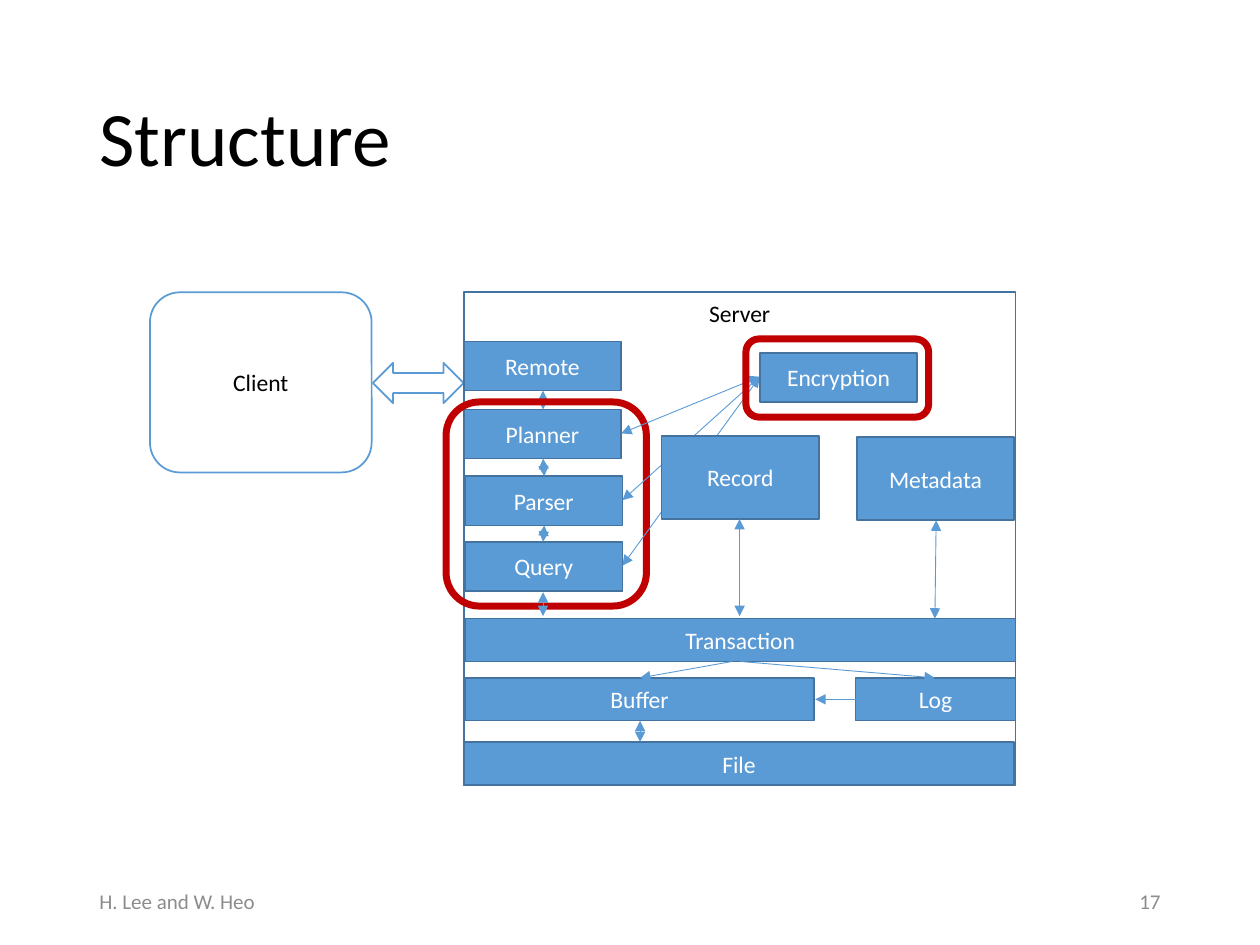
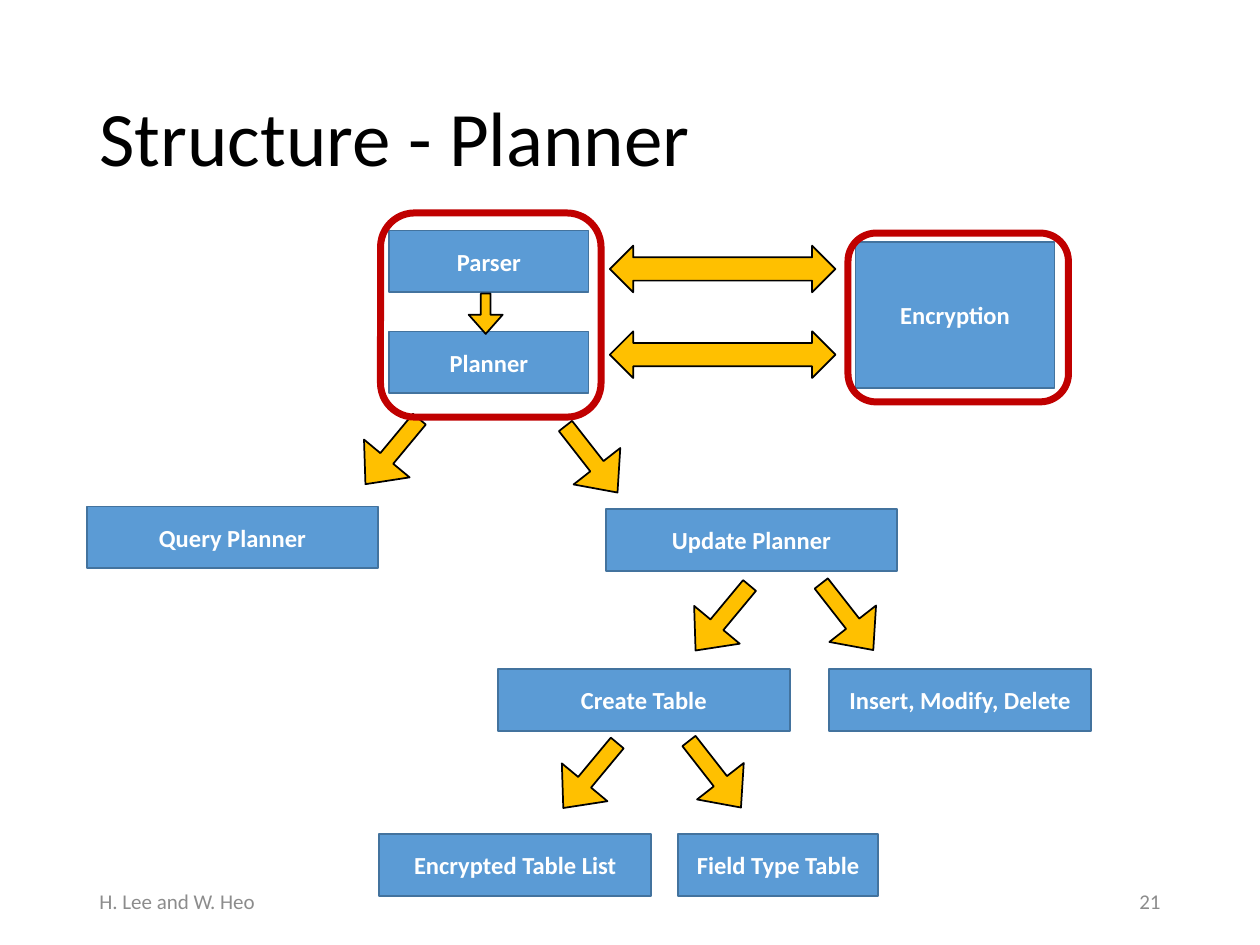
import dataclasses
import typing

import lxml.etree
import pptx
import pptx.dml.color
import pptx.enum.shapes
import pptx.enum.text
import pptx.oxml.ns
import pptx.slide
import pptx.util

PX = 9144
KIND = pptx.enum.shapes.MSO_SHAPE
ALIGN = pptx.enum.text.PP_ALIGN
ANCHOR = pptx.enum.text.MSO_ANCHOR
LAYOUT_TITLE_ONLY = 5
BRANCH_ADJUSTMENTS = (0.283, 0.563)


@dataclasses.dataclass(frozen=True)
class Theme:
    font: str = "Calibri"
    black: str = "000000"
    white: str = "FFFFFF"
    blue: str = "5B9BD5"
    dark_blue: str = "43739E"
    red: str = "C00000"
    gold: str = "FFC000"
    grey: str = "8C8C8C"
    title_size: float = 44
    module_size: float = 13.5
    planner_size: float = 14
    footer_size: float = 12
    outline: float = 1
    frame_outline: float = 4
    link_outline: float = 0.5


THEME = Theme()


class Box(typing.NamedTuple):
    left: int
    top: int
    width: int
    height: int

    def emu(self) -> list[int]:
        return [length * PX for length in self]


@dataclasses.dataclass(frozen=True)
class Style:
    fill: str | None
    line: str
    width: float = THEME.outline
    ink: str = THEME.white
    size: float = THEME.module_size
    bold: bool = False
    anchor: ANCHOR = ANCHOR.MIDDLE


MODULE = Style(THEME.blue, THEME.dark_blue)
PLANNER_STEP = Style(THEME.blue, THEME.dark_blue, size=THEME.planner_size, bold=True)
CLIENT = Style(THEME.white, THEME.blue, ink=THEME.black)
SERVER = Style(None, THEME.dark_blue, ink=THEME.black, anchor=ANCHOR.TOP)
HIGHLIGHT = Style(None, THEME.red, THEME.frame_outline)
FLOW = Style(THEME.gold, THEME.black)


@dataclasses.dataclass(frozen=True)
class Node:
    box: Box
    style: Style
    label: str = ""
    kind: KIND = KIND.RECTANGLE
    rotation: float = 0
    adjustments: tuple[float, ...] = ()


class Link(typing.NamedTuple):
    x1: int
    y1: int
    x2: int
    y2: int
    both_ways: bool = True


def rgb(color: str) -> pptx.dml.color.RGBColor:
    return pptx.dml.color.RGBColor.from_string(color)


def apply(target: typing.Any, values: dict[str, typing.Any]) -> None:
    for attribute, value in values.items():
        setattr(target, attribute, value)


def write(shape: typing.Any, text: str, size: float, color: str, align: ALIGN,
          anchor: ANCHOR = ANCHOR.MIDDLE, bold: bool = False, spacing: float = 1.0) -> None:
    frame = shape.text_frame
    frame.text = text
    paragraph = frame.paragraphs[0]
    font = paragraph.runs[0].font
    apply(frame, {"word_wrap": True, "vertical_anchor": anchor,
                  "auto_size": pptx.enum.text.MSO_AUTO_SIZE.NONE})
    apply(paragraph, {"alignment": align, "line_spacing": spacing})
    apply(font, {"name": THEME.font, "size": pptx.util.Pt(size), "bold": bold})
    font.color.rgb = rgb(color)


def draw_node(slide: pptx.slide.Slide, node: Node) -> None:
    style = node.style
    shape = slide.shapes.add_shape(node.kind, *node.box.emu())
    shape.shadow.inherit = False
    shape.rotation = node.rotation
    for index, adjustment in enumerate(node.adjustments):
        shape.adjustments[index] = adjustment
    if style.fill:
        shape.fill.solid()
        shape.fill.fore_color.rgb = rgb(style.fill)
    else:
        shape.fill.background()
    shape.line.color.rgb = rgb(style.line)
    shape.line.width = pptx.util.Pt(style.width)
    if node.label:
        write(shape, node.label, style.size, style.ink, ALIGN.CENTER, style.anchor, style.bold)


def draw_link(slide: pptx.slide.Slide, link: Link) -> None:
    ends = [length * PX for length in link[:4]]
    connector = slide.shapes.add_connector(pptx.enum.shapes.MSO_CONNECTOR.STRAIGHT, *ends)
    connector.line.color.rgb = rgb(THEME.blue)
    connector.line.width = pptx.util.Pt(THEME.link_outline)
    outline = connector.line._get_or_add_ln()
    for tag in ("a:headEnd", "a:tailEnd") if link.both_ways else ("a:tailEnd",):
        lxml.etree.SubElement(outline, pptx.oxml.ns.qn(tag), type="triangle")
    lxml.etree.SubElement(connector._element.spPr, pptx.oxml.ns.qn("a:effectLst"))


def draw(slide: pptx.slide.Slide, parts: typing.Iterable[Node | Link]) -> None:
    for part in parts:
        if isinstance(part, Link):
            draw_link(slide, part)
        else:
            draw_node(slide, part)


def add_page(deck: typing.Any, title: str, number: int) -> pptx.slide.Slide:
    slide = deck.slides.add_slide(deck.slide_layouts[LAYOUT_TITLE_ONLY])
    heading = slide.shapes.title
    apply(heading, dict(zip(("left", "top", "width", "height"), Box(69, 40, 862, 145).emu())))
    write(heading, title, THEME.title_size, THEME.black, ALIGN.LEFT, spacing=0.9)
    for box, text, align in (
        (Box(69, 695, 338, 40), "H. Lee and W. Heo", ALIGN.LEFT),
        (Box(706, 695, 225, 40), str(number), ALIGN.RIGHT),
    ):
        footer = slide.shapes.add_textbox(*box.emu())
        write(footer, text, THEME.footer_size, THEME.grey, align)
    return slide


def module(label: str, left: int, top: int, width: int = 125, height: int = 39) -> Node:
    return Node(Box(left, top, width, height), MODULE, label)


def layer(label: str, left: int, top: int, width: int = 437) -> Node:
    return module(label, left, top, width, 34)


def step(label: str, left: int, top: int, width: int, height: int = 49) -> Node:
    return Node(Box(left, top, width, height), PLANNER_STEP, label)


def highlight(left: int, top: int, width: int, height: int) -> Node:
    return Node(Box(left, top, width, height), HIGHLIGHT, kind=KIND.ROUNDED_RECTANGLE)


def exchange(box: Box, style: Style) -> Node:
    return Node(box, style, kind=KIND.LEFT_RIGHT_ARROW)


def down_flow(box: Box, rotation: float = 0) -> Node:
    return Node(box, FLOW, kind=KIND.DOWN_ARROW, rotation=rotation,
                adjustments=BRANCH_ADJUSTMENTS)


def fork(left: int, left_top: int, right: int, right_top: int) -> list[Node]:
    return [down_flow(Box(left, left_top, 47, 67), 39.7),
            down_flow(Box(right, right_top, 47, 67), 322)]


def build_structure(deck: typing.Any) -> None:
    encryption_links = [Link(x, y, 603, 299) for x, y in ((494, 449), (494, 397), (493, 344))]
    draw(add_page(deck, "Structure", 17), [
        Node(Box(119, 232, 176, 143), CLIENT, "Client", KIND.ROUNDED_RECTANGLE),
        exchange(Box(296, 288, 72, 32), CLIENT),
        module("Remote", 368, 271),
        module("Planner", 368, 325),
        layer("File", 368, 589),
        layer("Buffer", 369, 538, 277),
        layer("Log", 679, 538, 127),
        layer("Transaction", 369, 491),
        Link(431, 310, 431, 325),
        Link(581, 525, 508, 538, False),
        Link(588, 525, 742, 538, False),
        Link(679, 555, 647, 555, False),
        Link(508, 572, 508, 589),
        Node(Box(368, 232, 438, 391), SERVER, "Server"),
        module("Parser", 369, 378),
        module("Query", 369, 430),
        highlight(354, 319, 159, 162),
        *encryption_links,
        module("Metadata", 680, 347, height=66),
        module("Record", 525, 346, height=66),
        Link(431, 364, 432, 378),
        Link(432, 417, 431, 430),
        Link(587, 412, 587, 489),
        Link(743, 413, 742, 491),
        Link(431, 470, 431, 489),
        module("Encryption", 603, 280),
        highlight(592, 269, 145, 62),
    ])


def build_planner(deck: typing.Any) -> None:
    draw(add_page(deck, "Structure - Planner", 21), [
        step("Encryption", 679, 192, 158, 116),
        step("Parser", 309, 183, 158),
        step("Planner", 309, 263, 158),
        *(exchange(Box(484, top, 179, 37), FLOW) for top in (195, 263)),
        step("Query Planner", 69, 402, 231),
        step("Update Planner", 481, 404, 231),
        *fork(288, 325, 446, 331),
        down_flow(Box(372, 233, 27, 32)),
        highlight(302, 169, 175, 162),
        highlight(673, 185, 175, 134),
        step("Encrypted Table List", 301, 662, 216),
        step("Field Type Table", 538, 662, 159),
        *fork(445, 582, 544, 581),
        step("Create Table", 395, 531, 232),
        step("Insert, Modify, Delete", 658, 531, 208),
        *fork(550, 457, 649, 456),
    ])


def main() -> None:
    deck = pptx.Presentation()
    apply(deck, {"slide_width": 1000 * PX, "slide_height": 750 * PX})
    build_structure(deck)
    build_planner(deck)
    deck.save("out.pptx")


if __name__ == "__main__":
    main()
